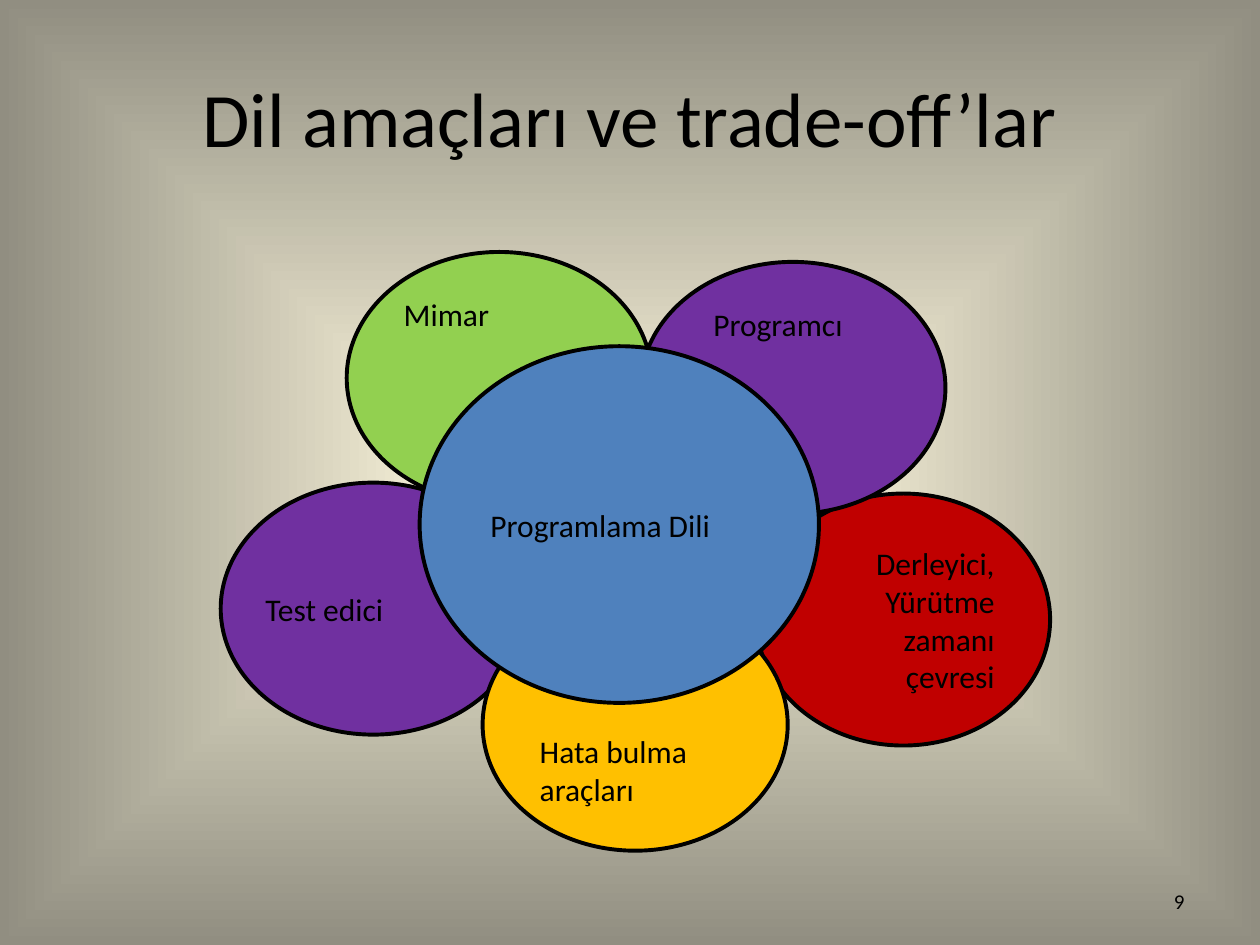
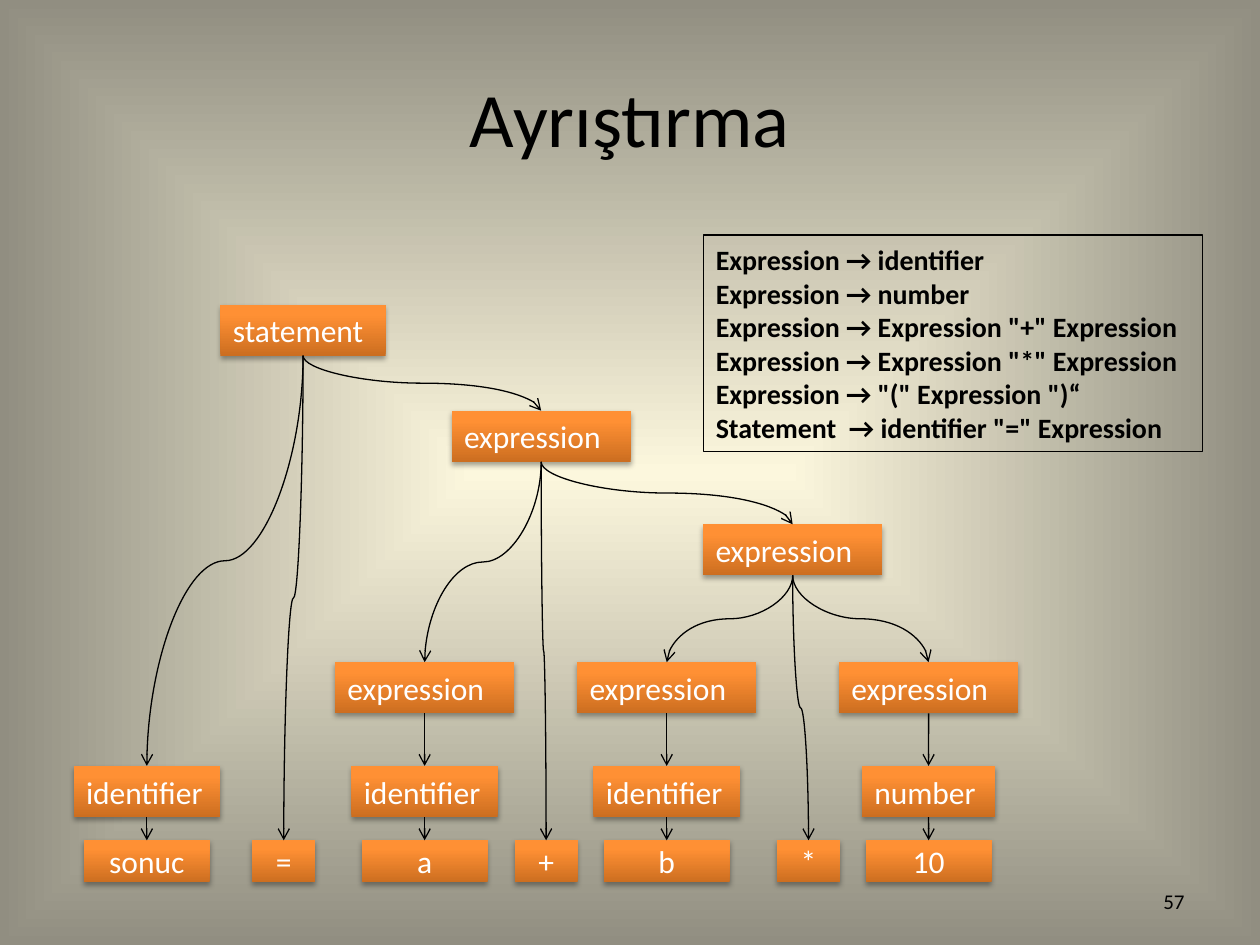
import dataclasses
import typing

import pptx
import pptx.dml.color
import pptx.enum.shapes
import pptx.enum.text
import pptx.oxml
import pptx.oxml.ns
import pptx.util

Cm = pptx.util.Cm
Pt = pptx.util.Pt
ALIGN = pptx.enum.text.PP_ALIGN
ANCHOR = pptx.enum.text.MSO_ANCHOR
SHAPE = pptx.enum.shapes.MSO_SHAPE
CONNECTOR = pptx.enum.shapes.MSO_CONNECTOR
NAMESPACE = pptx.oxml.ns.nsdecls("a")


@dataclasses.dataclass(frozen=True)
class Theme:
    font: str = "Calibri"
    ink: str = "000000"
    node_ink: str = "FFFFFF"
    green: str = "92D050"
    purple: str = "7030A0"
    red: str = "C00000"
    amber: str = "FFC000"
    blue: str = "4F81BD"
    page_stops: tuple = ((0, "FCF7DD"), (100, "918E81"))
    node_stops: tuple = ((0, "CC6E20"), (80, "FF9034"), (100, "FF9136"))
    title_size: int = 44
    label_size: int = 18
    rule_size: int = 16
    number_size: int = 12
    outline: float = 2.25
    hairline: float = 0.75


THEME = Theme()


class Box(typing.NamedTuple):
    """A rectangle in centimetres."""
    left: float
    top: float
    width: float
    height: float

    def inside(self, outer):
        return Box(outer.left + self.left, outer.top + self.top, self.width, self.height)

    def lengths(self):
        return [Cm(value) for value in self]


TITLE_BOX = Box(1.27, 0.76, 22.86, 3.18)
NUMBER_BOX = Box(18.2, 17.65, 5.93, 1.02)
FLOWER_BOX = Box(4.45, 5.08, 16.71, 12.07)
RULES_BOX = Box(14.18, 4.74, 10.06, 4.36)
TREE_BOX = Box(1.48, 6.14, 18.57, 11.65)


class Petal(typing.NamedTuple):
    text: str
    color: str
    box: Box
    anchor: typing.Any = ANCHOR.MIDDLE
    align: typing.Any = ALIGN.LEFT
    margins: tuple = (0.25, 0.25)


PETALS = (
    Petal("Mimar", THEME.green, Box(2.54, 0, 6.15, 5.08), ANCHOR.TOP),
    Petal("Derleyici,\nYürütme zamanı çevresi", THEME.red, Box(10.8, 4.87, 5.92, 5.08),
          align=ALIGN.RIGHT),
    Petal("Programcı", THEME.purple, Box(8.46, 0.2, 6.15, 5.08), ANCHOR.TOP,
          margins=(0.57, 0)),
    Petal("Test edici", THEME.purple, Box(0, 4.65, 6.15, 5.08), margins=(0, 0.25)),
    Petal("Hata bulma araçları", THEME.amber, Box(5.28, 6.99, 6.15, 5.08), ANCHOR.BOTTOM),
    Petal("Programlama Dili", THEME.blue, Box(4.01, 1.9, 8.05, 7.19)),
)

RULES = """Expression → identifier
Expression → number
Expression → Expression "+" Expression
Expression → Expression "*" Expression
Expression → "(" Expression ")“
Statement  → identifier "=" Expression"""


class Node(typing.NamedTuple):
    """A tree node: center is its middle across, top its upper edge."""
    text: str
    center: float
    top: float
    children: tuple = ()


OPERAND_TOP, TOKEN_TOP, LEAF_TOP = 7.21, 9.3, 10.8
NODE_HEIGHT, LEAF_HEIGHT = 1.03, 0.85
NODE_WIDTHS = {"statement": 3.33, "expression": 3.61, "identifier": 2.95, "number": 2.69}
SYMBOLS = "=+*"


def token(kind, text, center):
    return Node(kind, center, TOKEN_TOP, (Node(text, center, LEAF_TOP),))


def operand(kind, text, center):
    return Node("expression", center, OPERAND_TOP, (token(kind, text, center),))


PARSE_TREE = Node("statement", 4.63, 0, (
    token("identifier", "sonuc", 1.48),
    Node("=", 4.24, LEAF_TOP),
    Node("expression", 9.43, 2.14, (
        operand("identifier", "a", 7.08),
        Node("+", 9.53, LEAF_TOP),
        Node("expression", 14.5, 4.43, (
            operand("identifier", "b", 11.96),
            Node("*", 14.82, LEAF_TOP),
            operand("number", "10", 17.24),
        )),
    )),
))


def rgb(color):
    return pptx.dml.color.RGBColor.from_string(color)


def set_gradient(fill, holder, stops, direction):
    """Fill with stops given as (percent, colour); direction is an a:lin or a:path."""
    fill.background()
    empty_fill = holder.xpath(".//a:noFill")[0]
    marks = "".join(f'<a:gs pos="{percent * 1000}"><a:srgbClr val="{color}"/></a:gs>'
                    for percent, color in stops)
    gradient = pptx.oxml.parse_xml(
        f'<a:gradFill {NAMESPACE} rotWithShape="1"><a:gsLst>{marks}</a:gsLst>'
        f'{direction}</a:gradFill>')
    empty_fill.getparent().replace(empty_fill, gradient)


def write(shape, text, size, color=THEME.ink, align=ALIGN.LEFT, anchor=ANCHOR.MIDDLE,
          bold=False, margins=(0.25, 0.25)):
    frame = shape.text_frame
    frame.word_wrap = True
    frame.vertical_anchor = anchor
    frame.margin_left, frame.margin_right = map(Cm, margins)
    frame.text = text
    for para in frame.paragraphs:
        para.alignment = align
        para.font.name = THEME.font
        para.font.size = Pt(size)
        para.font.bold = bold
        para.font.color.rgb = rgb(color)


def add_outlined(page, kind, box, weight):
    shape = page.shapes.add_shape(kind, *box.lengths())
    shape.shadow.inherit = False
    shape.line.color.rgb = rgb(THEME.ink)
    shape.line.width = Pt(weight)
    return shape


def add_page(deck, title, number):
    page = deck.slides.add_slide(deck.slide_layouts.get_by_name("Title Only"))
    heading = page.shapes.title
    heading.left, heading.top, heading.width, heading.height = TITLE_BOX.lengths()
    write(heading, title, THEME.title_size, align=ALIGN.CENTER)
    number_box = page.shapes.add_textbox(*NUMBER_BOX.lengths())
    write(number_box, str(number), THEME.number_size, align=ALIGN.RIGHT)
    return page


def add_flower(page, box):
    for petal in PETALS:
        ellipse = add_outlined(page, SHAPE.OVAL, petal.box.inside(box), THEME.outline)
        ellipse.fill.solid()
        ellipse.fill.fore_color.rgb = rgb(petal.color)
        write(ellipse, petal.text, THEME.label_size, align=petal.align,
              anchor=petal.anchor, margins=petal.margins)


def add_rules(page, box):
    panel = add_outlined(page, SHAPE.RECTANGLE, box, THEME.hairline)
    panel.fill.background()
    write(panel, RULES, THEME.rule_size, bold=True)


def add_node(page, node, box):
    is_leaf = not node.children
    if is_leaf:
        width, height = (1.27 if node.text in SYMBOLS else 2.54), LEAF_HEIGHT
    else:
        width, height = NODE_WIDTHS[node.text], NODE_HEIGHT
    place = Box(node.center - width / 2, node.top, width, height).inside(box)
    shape = page.shapes.add_shape(SHAPE.RECTANGLE, *place.lengths())
    set_gradient(shape.fill, shape.element, THEME.node_stops,
                 '<a:lin ang="16200000" scaled="0"/>')
    shape.line.fill.background()
    shape.shadow.inherit = False
    shape.element.xpath(".//a:effectLst")[0].append(pptx.oxml.parse_xml(
        f'<a:outerShdw {NAMESPACE} blurRad="39370" dist="22860" dir="5400000" '
        f'rotWithShape="0"><a:srgbClr val="{THEME.ink}"><a:alpha val="35000"/>'
        '</a:srgbClr></a:outerShdw>'))
    write(shape, node.text, THEME.label_size, THEME.node_ink,
          align=ALIGN.CENTER if is_leaf else ALIGN.LEFT)
    return shape


def turn_downward(curve):
    """Rotate a curved connector so that it leaves and arrives vertically."""
    middle_x = (curve.begin_x + curve.end_x) // 2
    middle_y = (curve.begin_y + curve.end_y) // 2
    goes_right = curve.end_x > curve.begin_x
    run, drop = abs(curve.end_x - curve.begin_x), curve.end_y - curve.begin_y
    curve.left, curve.top = middle_x - drop // 2, middle_y - run // 2
    curve.width, curve.height = drop, run
    transform = curve.element.spPr.find(pptx.oxml.ns.qn("a:xfrm"))
    transform.set("rot", "16200000" if goes_right else "5400000")
    transform.set("flipH", "1" if goes_right else "0")


def add_arrow(page, parent, child, kind):
    arrow = page.shapes.add_connector(kind, 0, 0, 0, 0)
    arrow.begin_connect(parent, 2)
    arrow.end_connect(child, 0)
    if kind == CONNECTOR.CURVE:
        turn_downward(arrow)
    arrow.line.color.rgb = rgb(THEME.ink)
    arrow.line.width = Pt(THEME.hairline)
    arrow.element.xpath(".//a:ln")[0].append(
        pptx.oxml.parse_xml(f'<a:tailEnd {NAMESPACE} type="arrow"/>'))
    arrow.element.spPr.append(pptx.oxml.parse_xml(f"<a:effectLst {NAMESPACE}/>"))


def add_tree(page, node, box):
    """Draw a node and everything below it; return the node's shape."""
    parent = add_node(page, node, box)
    kind = CONNECTOR.CURVE if len(node.children) > 1 else CONNECTOR.STRAIGHT
    for child in node.children:
        add_arrow(page, parent, add_tree(page, child, box), kind)
    return parent


def main():
    deck = pptx.Presentation()
    deck.slide_width, deck.slide_height = Cm(25.4), Cm(19.05)
    master = deck.slide_master
    set_gradient(master.background.fill, master.element, THEME.page_stops,
                 '<a:path path="shape"><a:fillToRect l="50000" t="50000" r="50000" '
                 'b="50000"/></a:path>')

    goals = add_page(deck, "Dil amaçları ve trade-off’lar", 9)
    add_flower(goals, FLOWER_BOX)

    parsing = add_page(deck, "Ayrıştırma", 57)
    add_rules(parsing, RULES_BOX)
    add_tree(parsing, PARSE_TREE, TREE_BOX)
    deck.save("out.pptx")


if __name__ == "__main__":
    main()
